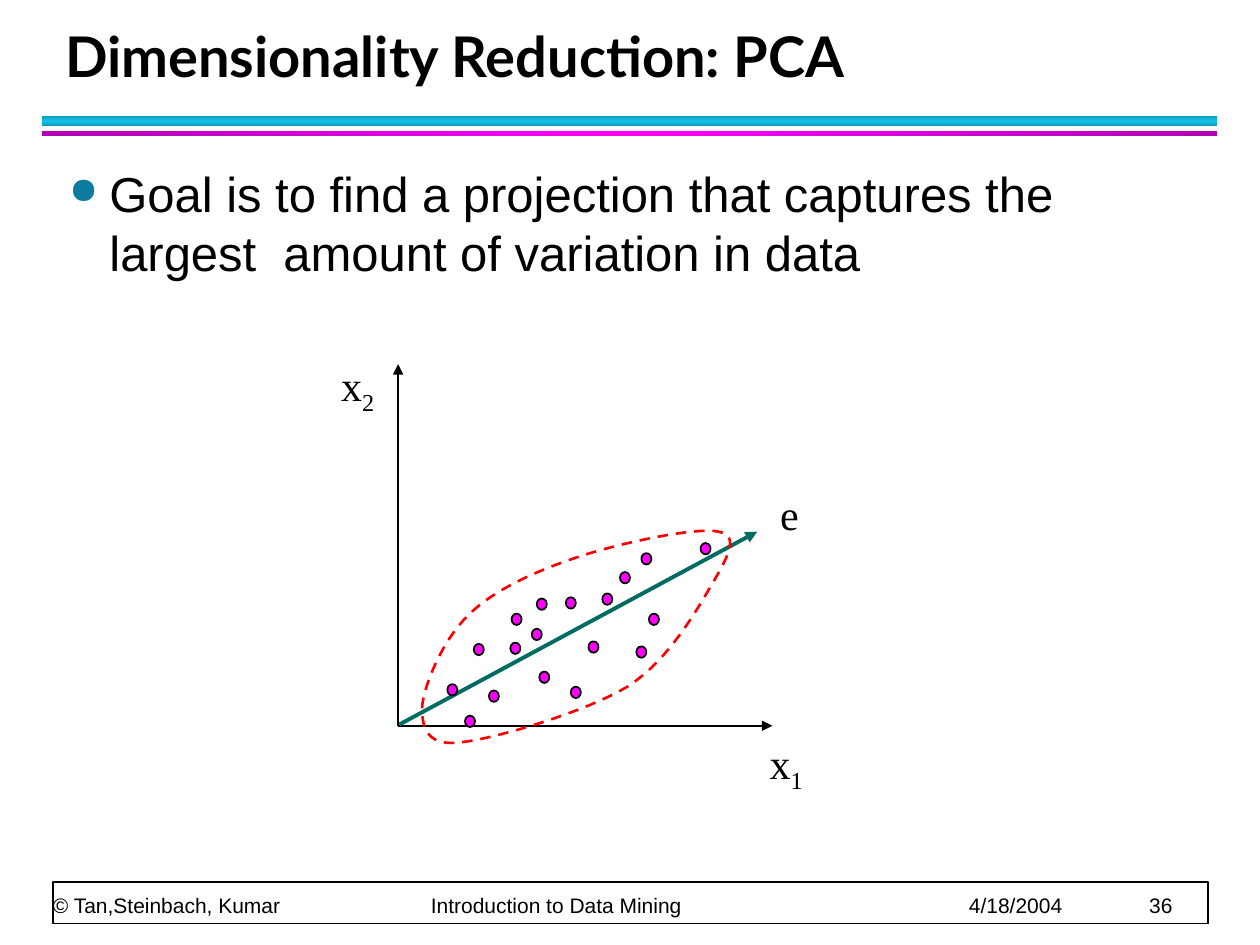
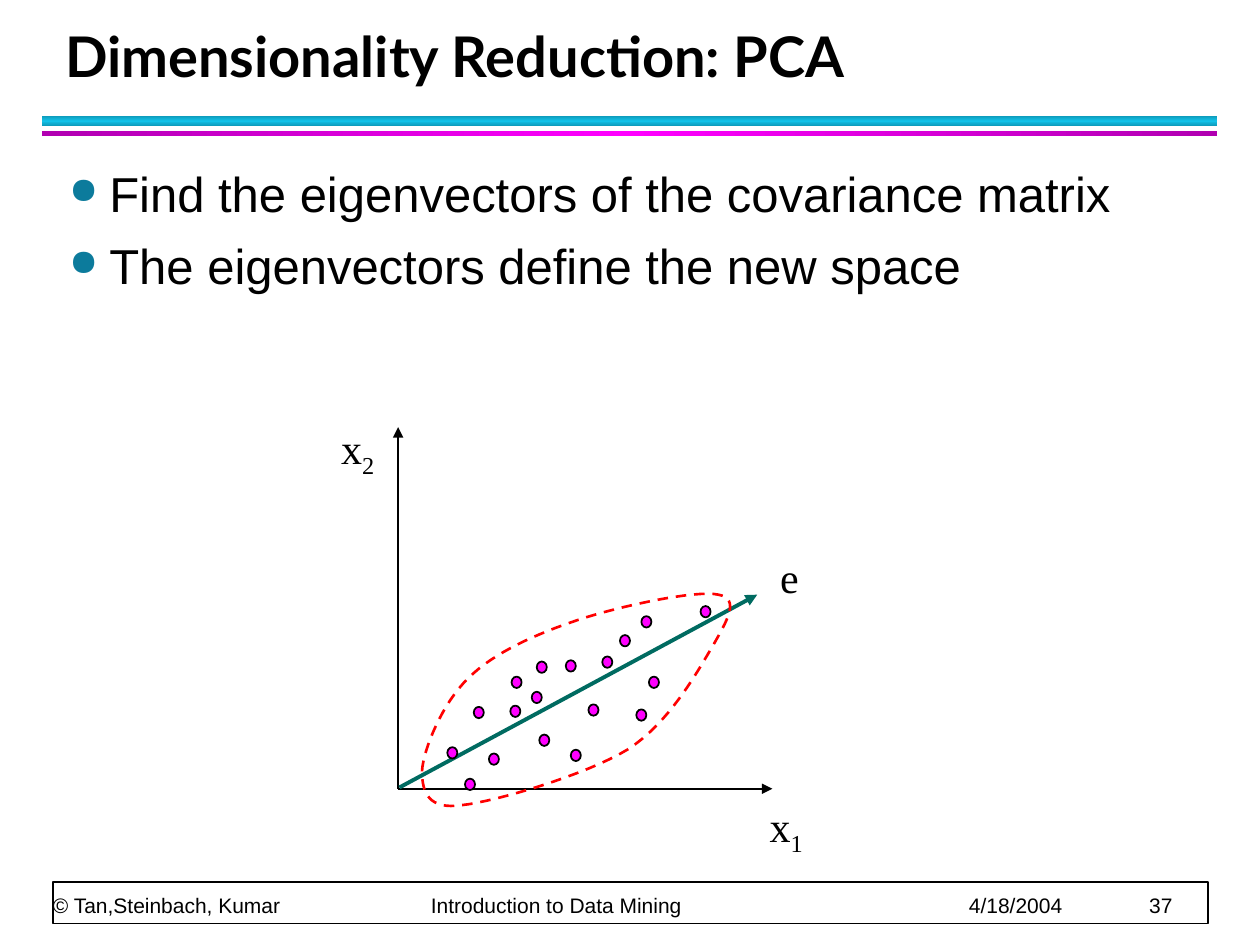
"""Build two slides on dimensionality reduction with PCA."""
from copy import deepcopy
from typing import NamedTuple

from lxml import etree
from pptx import Presentation
from pptx import util as u
from pptx.dml import color
from pptx.enum import dml, shapes, text
from pptx.oxml import ns

COLORS = {
    "ink": "000000",
    "paper": "FFFFFF",
    "band_edge": "0E9AB9",
    "band_core": "12C2E9",
    "rule_edge": "B100B1",
    "rule_core": "FF00FF",
    "bullet": "0C7B9C",
    "eigenvector": "006B61",
    "point": "FF00FF",
    "outline": "FF0000",
}
TITLE = "Dimensionality Reduction: PCA"
FOOTER = ("© Tan,Steinbach, Kumar", "Introduction to Data Mining", "4/18/2004")
FOOTER_TABS = (3.0, 7.27, 8.7)


class Box(NamedTuple):
    left: float
    top: float
    width: float
    height: float


class Band(NamedTuple):
    box: Box
    edge: str
    core: str
    angle: int


class Arrow(NamedTuple):
    start: tuple[float, float]
    end: tuple[float, float]
    color: str
    width: float


class Label(NamedTuple):
    box: Box
    letter: str
    subscript: str


class Page(NamedTuple):
    number: int
    bullets: tuple[str, ...]
    plot_shift: float


BANDS = (
    Band(Box(0.33, 0.92, 9.33, 0.08), "band_edge", "band_core", 90),
    Band(Box(0.33, 1.04, 9.33, 0.04), "rule_edge", "rule_core", 0),
)
ARROWS = (
    Arrow((3.16, 5.76), (3.16, 2.89), "ink", 1),
    Arrow((3.16, 5.76), (6.13, 5.76), "ink", 1),
    Arrow((3.17, 5.75), (6.01, 4.22), "eigenvector", 2.25),
)
LABELS = (
    Label(Box(2.61, 2.8, 0.46, 0.56), "x", "2"),
    Label(Box(6.01, 5.8, 0.46, 0.56), "x", "1"),
    Label(Box(6.09, 3.83, 0.35, 0.5), "e", ""),
)
POINT_SIZE = (0.08, 0.09)
POINTS = (
    (3.76, 5.11), (4.06, 4.87), (3.55, 5.43), (4.22, 4.99), (4.05, 5.1), (4.67, 5.09),
    (4.53, 5.45), (4.28, 5.33), (4.49, 4.74), (5.15, 4.87), (5.56, 4.31), (3.88, 5.48),
    (4.78, 4.71), (5.09, 4.39), (4.26, 4.75), (4.92, 4.54), (5.05, 5.13), (3.69, 5.68),
)
OUTLINE_CONTROLS = (
    (3.35, 5.62), (3.36, 5.45), (3.51, 5.08), (3.72, 4.88), (3.92, 4.68), (4.26, 4.53),
    (4.59, 4.42), (4.92, 4.31), (5.53, 4.18), (5.7, 4.22), (5.88, 4.25), (5.77, 4.43),
    (5.65, 4.64), (5.53, 4.84), (5.31, 5.24), (4.98, 5.45), (4.65, 5.65), (3.94, 5.86),
    (3.67, 5.89), (3.4, 5.93), (3.35, 5.79), (3.35, 5.62),
)
CURVE_STEPS = 16
PAGES = (
    Page(36, ("Goal is to find a projection that captures the largest  amount of variation in data",), 0),
    Page(37, ("Find the eigenvectors of the covariance matrix",
              "The eigenvectors define the new space"), 0.5),
)


def rgb(name: str) -> color.RGBColor:
    """Return a palette colour."""
    return color.RGBColor.from_string(COLORS[name])


def add_xml(parent, tag: str, **attributes: str):
    """Append a drawing element to its parent."""
    child = etree.SubElement(parent, ns.qn(tag))
    for name, value in attributes.items():
        child.set(name, value)
    return child


def style_runs(paragraph, font: str, size: float, bold: bool = False) -> None:
    """Give every run of a paragraph the same font."""
    for run in paragraph.runs:
        run.font.name = font
        run.font.size = u.Pt(size)
        run.font.bold = bold
        run.font.color.rgb = rgb("ink")


def add_text_frame(slide, box: Box, anchor, wrap: bool = True,
                   margins: tuple[float, float] = (0.1, 0.05)):
    """Add a text box and return its text frame."""
    frame = slide.shapes.add_textbox(*map(u.Inches, box)).text_frame
    frame.word_wrap = wrap
    frame.vertical_anchor = anchor
    frame.margin_left = frame.margin_right = u.Inches(margins[0])
    frame.margin_top = frame.margin_bottom = u.Inches(margins[1])
    return frame


def add_preset(slide, kind, box: Box, fill: str, line: str | None = None):
    """Add a filled preset shape with an optional thin line."""
    shape = slide.shapes.add_shape(kind, *map(u.Inches, box))
    shape.shadow.inherit = False
    shape.fill.solid()
    shape.fill.fore_color.rgb = rgb(fill)
    if line:
        shape.line.color.rgb = rgb(line)
        shape.line.width = u.Pt(1)
    else:
        shape.line.fill.background()
    return shape


def add_band(slide, band: Band) -> None:
    """Add a bar whose gradient runs from edge to core and back."""
    shape = add_preset(slide, shapes.MSO_SHAPE.RECTANGLE, band.box, band.core)
    shape.fill.gradient()
    shape.fill.gradient_angle = band.angle
    stop_list = next(shape._element.spPr.iter(ns.qn("a:gsLst")))
    stop_list.append(deepcopy(stop_list[0]))
    names = (band.edge, band.core, band.edge)
    for index, (stop, name) in enumerate(zip(shape.fill.gradient_stops, names)):
        stop.position = index / 2
        stop.color.rgb = rgb(name)


def add_footer(slide, number: int) -> None:
    """Add the framed footer with its tabbed entries."""
    add_preset(slide, shapes.MSO_SHAPE.RECTANGLE, Box(0.42, 7, 9.17, 0.33), "paper", "ink")
    frame = add_text_frame(slide, Box(0.42, 6.72, 9.15, 0.56), text.MSO_ANCHOR.BOTTOM, margins=(0, 0))
    paragraph = frame.paragraphs[0]
    paragraph.text = "\t".join((*FOOTER, str(number)))
    paragraph.line_spacing = u.Pt(20)
    style_runs(paragraph, "Arial", 12)
    tab_list = add_xml(paragraph._p.get_or_add_pPr(), "a:tabLst")
    for position in FOOTER_TABS:
        add_xml(tab_list, "a:tab", pos=str(u.Inches(position)), algn="l")


def add_title(slide) -> None:
    """Add the slide title."""
    frame = add_text_frame(slide, Box(0.42, 0.17, 9.06, 0.58), text.MSO_ANCHOR.BOTTOM)
    frame.text = TITLE
    frame.paragraphs[0].line_spacing = u.Pt(36)
    style_runs(frame.paragraphs[0], "Lato", 32, bold=True)


def add_bullets(slide, bullets: tuple[str, ...]) -> None:
    """Add the bulleted body text."""
    frame = add_text_frame(slide, Box(0.45, 1.25, 9.1, 5.67), text.MSO_ANCHOR.TOP)
    frame.text = "\n".join(bullets)
    for paragraph in frame.paragraphs:
        paragraph.space_before = u.Pt(3.5)
        paragraph.space_after = u.Pt(4)
        style_runs(paragraph, "Arial", 28)
        properties = paragraph._p.get_or_add_pPr()
        properties.set("marL", str(u.Inches(0.32)))
        properties.set("indent", str(u.Inches(-0.32)))
        add_xml(add_xml(properties, "a:buClr"), "a:srgbClr", val=COLORS["bullet"])
        add_xml(properties, "a:buSzPct", val="75000")
        add_xml(properties, "a:buChar", char="●")


def add_arrow(slide, arrow: Arrow, shift: float) -> None:
    """Add a straight arrow, moved down by the shift."""
    (x1, y1), (x2, y2) = arrow.start, arrow.end
    ends = map(u.Inches, (x1, y1 + shift, x2, y2 + shift))
    connector = slide.shapes.add_connector(shapes.MSO_CONNECTOR.STRAIGHT, *ends)
    connector.line.color.rgb = rgb(arrow.color)
    connector.line.width = u.Pt(arrow.width)
    add_xml(connector.line._get_or_add_ln(), "a:tailEnd", type="triangle")
    add_xml(connector._element.spPr, "a:effectLst")


def outline_vertices(shift: float) -> list[tuple[int, int]]:
    """Sample the chained cubic curves around the data cloud."""
    vertices = []
    for first in range(0, len(OUTLINE_CONTROLS) - 1, 3):
        controls = OUTLINE_CONTROLS[first:first + 4]
        for step in range(CURVE_STEPS):
            t = step / CURVE_STEPS
            weights = ((1 - t) ** 3, 3 * t * (1 - t) ** 2, 3 * t ** 2 * (1 - t), t ** 3)
            x, y = (sum(w * value for w, value in zip(weights, axis)) for axis in zip(*controls))
            vertices.append((u.Inches(x), u.Inches(y + shift)))
    return vertices


def add_outline(slide, shift: float) -> None:
    """Add the dashed outline of the data cloud."""
    start, *others = outline_vertices(shift)
    builder = slide.shapes.build_freeform(*start)
    builder.add_line_segments(others, close=True)
    shape = builder.convert_to_shape()
    shape.shadow.inherit = False
    shape.fill.background()
    shape.line.color.rgb = rgb("outline")
    shape.line.width = u.Pt(1.5)
    shape.line.dash_style = dml.MSO_LINE.DASH


def add_label(slide, label: Label, shift: float) -> None:
    """Add an axis label with an optional subscript."""
    box = label.box._replace(top=label.box.top + shift)
    frame = add_text_frame(slide, box, text.MSO_ANCHOR.MIDDLE, wrap=False)
    paragraph = frame.paragraphs[0]
    paragraph.text = label.letter
    paragraph.alignment = text.PP_ALIGN.CENTER
    if label.subscript:
        run = paragraph.add_run()
        run.text = label.subscript
        run.font._element.set("baseline", "-25000")
    style_runs(paragraph, "Times New Roman", 24)


def add_plot(slide, shift: float) -> None:
    """Add the scatter sketch with its principal direction."""
    for arrow in ARROWS:
        add_arrow(slide, arrow, shift)
    for x, y in POINTS:
        add_preset(slide, shapes.MSO_SHAPE.OVAL, Box(x, y + shift, *POINT_SIZE), "point", "ink")
    add_outline(slide, shift)
    for label in LABELS:
        add_label(slide, label, shift)


def add_page(presentation, page: Page) -> None:
    """Add one complete slide."""
    slide = presentation.slides.add_slide(presentation.slide_layouts[6])
    for band in BANDS:
        add_band(slide, band)
    add_footer(slide, page.number)
    add_title(slide)
    add_bullets(slide, page.bullets)
    add_plot(slide, page.plot_shift)


def main() -> None:
    """Build and save the presentation."""
    presentation = Presentation()
    presentation.slide_width = u.Inches(10)
    presentation.slide_height = u.Inches(7.5)
    for page in PAGES:
        add_page(presentation, page)
    presentation.save("out.pptx")


if __name__ == "__main__":
    main()
